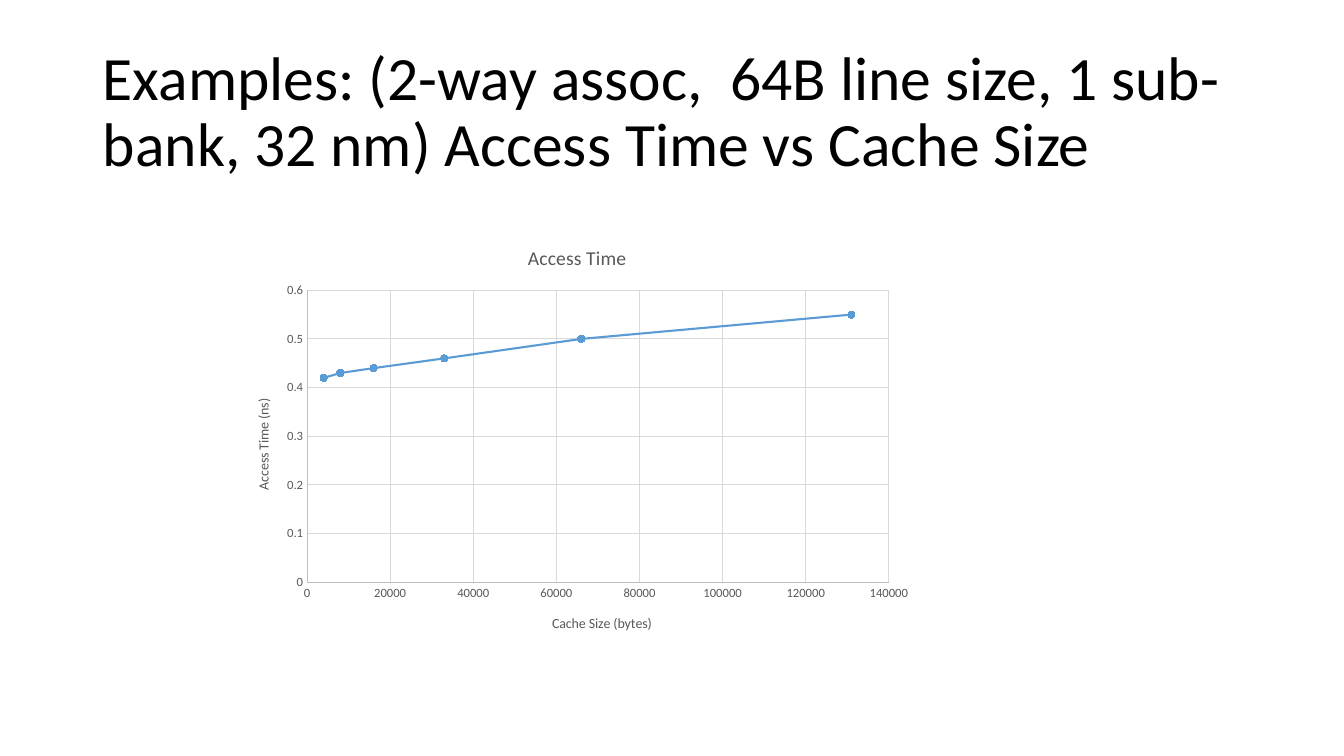
from lxml.etree import SubElement as Sub
from pptx import Presentation
from pptx.chart.data import XyChartData
from pptx.dml.color import RGBColor
from pptx.enum.chart import XL_CHART_TYPE as Kind, XL_MARKER_STYLE as Mark, XL_TICK_MARK as Tick
from pptx.enum.text import MSO_ANCHOR as Anchor
from pptx.oxml.ns import qn
from pptx.util import Inches, Pt

FACE = "Calibri"
GREY, EDGE, GRID, BLUE = "595959", "BFBFBF", "D9D9D9", "5B9BD5"
SIZES = [4000, 8000, 16000, 33000, 66000, 131000]
TIMES = [0.42, 0.43, 0.44, 0.46, 0.5, 0.55]


def tint(color, code):
    color.rgb = RGBColor.from_string(code)


def style(font, size, code):
    font.name, font.size, font.bold = FACE, Pt(size), False
    tint(font.color, code)


def stroke(line, width, code):
    line.width = Pt(width)
    tint(line.color, code)


def place(prior, **spots):
    layout = Sub(prior.getparent(), qn("c:layout"))
    manual = Sub(layout, qn("c:manualLayout"))
    if "w" in spots:
        Sub(manual, qn("c:layoutTarget")).set("val", "inner")
    for key in "xy":
        Sub(manual, qn(f"c:{key}Mode")).set("val", "edge")
    for key, share in spots.items():
        Sub(manual, qn(f"c:{key}")).set("val", str(share))
    prior.addnext(layout)


def clear(parent):
    for old in parent.findall(qn("c:layout")):
        parent.remove(old)


def label(title, text, size):
    title.text_frame.text = text
    style(title.text_frame.paragraphs[0].font, size, GREY)


def set_axis(axis, text, top, step, turn, x, y):
    axis.minimum_scale, axis.maximum_scale, axis.major_unit = 0, top, step
    axis.major_tick_mark = axis.minor_tick_mark = Tick.NONE
    axis.has_major_gridlines = True
    stroke(axis.major_gridlines.format.line, 0.75, GRID)
    stroke(axis.format.line, 0.75, EDGE)
    style(axis.tick_labels.font, 9, GREY)
    axis.tick_labels.number_format = "General"
    axis.tick_labels.number_format_is_linked = False
    title = axis.axis_title
    label(title, text, 10)
    node = title.element
    node.find(".//" + qn("a:bodyPr")).set("rot", str(turn))
    clear(node)
    place(node.find(qn("c:tx")), x=x, y=y)


def add_head(slide, box):
    head = slide.shapes.title
    head.left, head.top, head.width, head.height = box
    frame = head.text_frame
    frame.text = "Examples: (2-way assoc,  64B line size, 1 sub-bank, 32 nm) Access Time vs Cache Size"
    frame.word_wrap = True
    frame.vertical_anchor = Anchor.MIDDLE
    para = frame.paragraphs[0]
    para.line_spacing = 0.9
    para.alignment = 1
    style(para.font, 44, "000000")


def add_plot(slide, box):
    data = XyChartData()
    series = data.add_series("Access Time")
    for size, time in zip(SIZES, TIMES):
        series.add_data_point(size, time)
    chart = slide.shapes.add_chart(Kind.XY_SCATTER_LINES, *box, data).chart
    style(chart.font, 10, "000000")
    chart.has_legend = False
    chart.has_title = True
    label(chart.chart_title, "Access Time", 14)
    chart.plots[0].vary_by_categories = False
    set_axis(chart.category_axis, "Cache Size (bytes)", 140000, 20000, 0, 0.46, 0.91)
    set_axis(chart.value_axis, "Access Time (ns)", 0.6, 0.1, -5400000, 0.03, 0.4)

    line = chart.plots[0].series[0]
    line.smooth = False
    stroke(line.format.line, 1.5, BLUE)
    line.marker.style, line.marker.size = Mark.CIRCLE, 5
    line.marker.format.fill.solid()
    tint(line.marker.format.fill.fore_color, BLUE)
    stroke(line.marker.format.line, 0.75, BLUE)

    area = chart.element.find(".//" + qn("c:plotArea"))
    clear(area)
    place(area[0], x=0.11, y=0.15, w=0.84, h=0.69)
    area.insert(0, area.find(qn("c:layout")))


def main():
    deck = Presentation()
    deck.slide_width, deck.slide_height = Inches(13.33), Inches(7.5)
    slide = deck.slides.add_slide(deck.slide_layouts[5])
    add_head(slide, [Inches(n) for n in (0.92, 0.4, 11.5, 1.45)])
    add_plot(slide, [Inches(n) for n in (2.29, 2.25, 6.87, 4.2)])
    deck.save("out.pptx")


if __name__ == "__main__":
    main()
